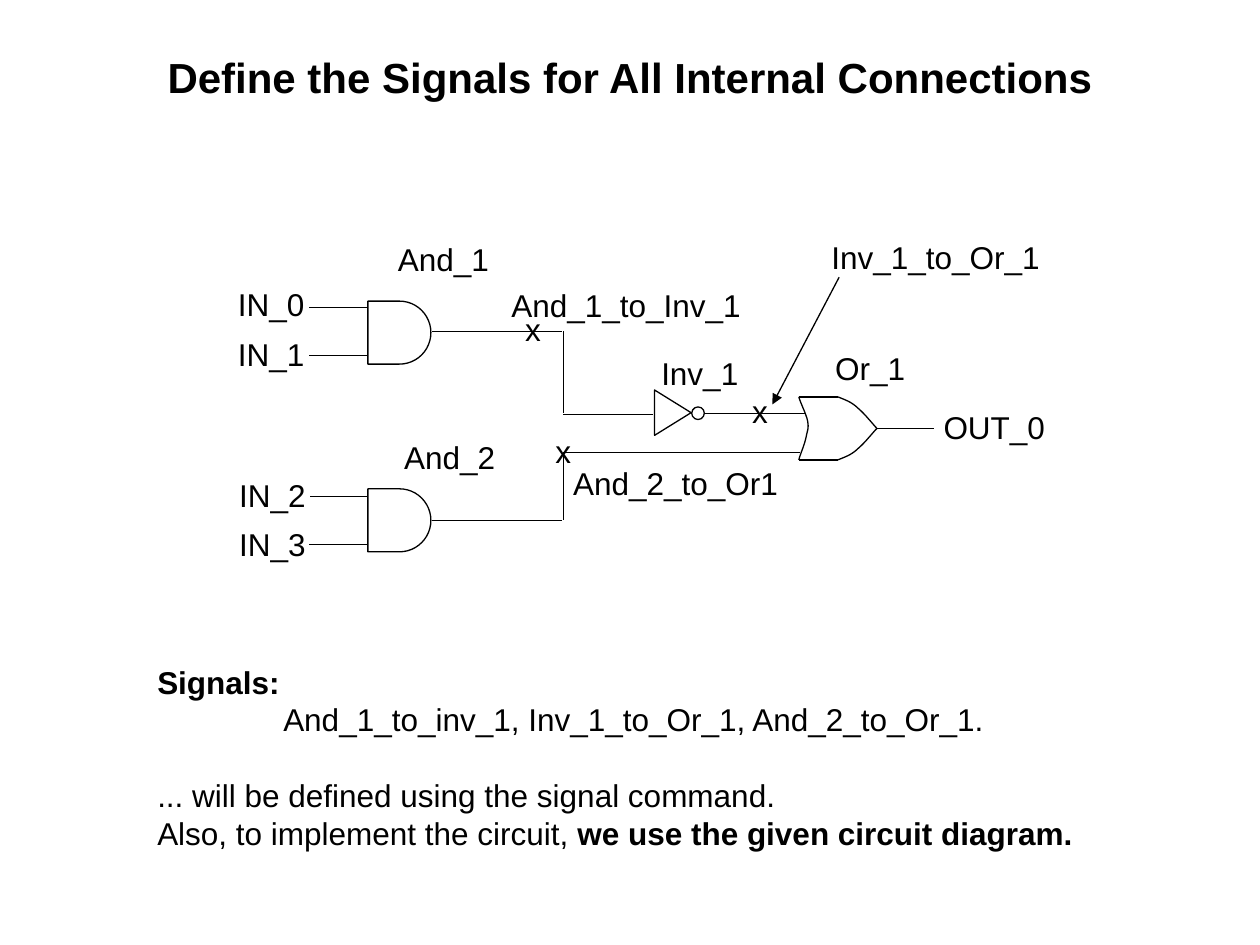
from pptx import Presentation
from pptx.dml.color import RGBColor
from pptx.enum.shapes import MSO_CONNECTOR, MSO_SHAPE
from pptx.enum.text import MSO_ANCHOR, MSO_AUTO_SIZE, PP_ALIGN
from pptx.oxml.ns import qn
from pptx.util import Inches, Pt
from lxml.etree import SubElement

BLACK = RGBColor(0, 0, 0)
WHITE = RGBColor(255, 255, 255)

deck = Presentation()
deck.slide_width, deck.slide_height = Inches(10), Inches(7.5)
slide = deck.slides.add_slide(deck.slide_layouts[6])


def add_text(text, left, top, width, height=0.4, size=18, bold=False, bold_ending="",
             align=PP_ALIGN.LEFT, anchor=MSO_ANCHOR.TOP, wrap=False,
             fit=MSO_AUTO_SIZE.SHAPE_TO_FIT_TEXT):
    box = slide.shapes.add_textbox(Inches(left), Inches(top), Inches(width), Inches(height))
    frame = box.text_frame
    frame.word_wrap = wrap
    frame.auto_size = fit
    frame.vertical_anchor = anchor
    frame.text = text
    if bold_ending:
        frame.paragraphs[-1].add_run().text = bold_ending
    for paragraph in frame.paragraphs:
        paragraph.alignment = align
        for run in paragraph.runs:
            run.font.name = "Arial"
            run.font.size = Pt(size)
            run.font.bold = bold or run.text == bold_ending
            run.font.color.rgb = BLACK
    return frame


def add_wire(x1, y1, x2, y2):
    wire = slide.shapes.add_connector(
        MSO_CONNECTOR.STRAIGHT, Inches(x1), Inches(y1), Inches(x2), Inches(y2))
    wire.line.color.rgb = BLACK
    wire.line.width = Pt(0.75)
    SubElement(wire._element.spPr, qn("a:effectLst"))
    return wire


add_text("Define the Signals for All Internal Connections", 0.5, 0.3, 9, 0.62, size=24,
         bold=True, align=PP_ALIGN.CENTER, anchor=MSO_ANCHOR.MIDDLE, wrap=True,
         fit=MSO_AUTO_SIZE.NONE)

gate_parts = []
or_gate_curves = [
    [((6.34, 3.15), (6.35, 3.19), (6.4, 3.29), (6.41, 3.34)),
     ((6.41, 3.34), (6.42, 3.4), (6.41, 3.41), (6.4, 3.46)),
     ((6.4, 3.46), (6.39, 3.52), (6.35, 3.61), (6.34, 3.65))],
    [((6.65, 3.15), (6.7, 3.17), (6.76, 3.19), (6.81, 3.24)),
     ((6.81, 3.24), (6.86, 3.28), (6.93, 3.37), (6.96, 3.4))],
    [((6.65, 3.65), (6.7, 3.63), (6.76, 3.61), (6.81, 3.56)),
     ((6.81, 3.56), (6.86, 3.52), (6.93, 3.43), (6.96, 3.4))],
]
for curve in or_gate_curves:
    start_x, start_y = curve[0][0]
    outline = slide.shapes.build_freeform(Inches(start_x), Inches(start_y))
    points = []
    for bezier in curve:
        for step in range(1, 9):
            t = step / 8
            weights = ((1 - t) ** 3, 3 * t * (1 - t) ** 2, 3 * t ** 2 * (1 - t), t ** 3)
            points.append([Inches(sum(w * p[axis] for w, p in zip(weights, bezier)))
                           for axis in (0, 1)])
    outline.add_line_segments(points, close=False)
    gate_parts.append(outline.convert_to_shape())

for kind, left, top, width, height, angle in [
    (MSO_SHAPE.FLOWCHART_MERGE, 5.16, 3.13, 0.36, 0.29, 270),
    (MSO_SHAPE.FLOWCHART_DELAY, 2.92, 3.88, 0.5, 0.5, 0),
    (MSO_SHAPE.FLOWCHART_DELAY, 2.92, 2.39, 0.5, 0.5, 0),
    (MSO_SHAPE.OVAL, 5.49, 3.23, 0.1, 0.1, 0),
]:
    part = slide.shapes.add_shape(kind, Inches(left), Inches(top), Inches(width), Inches(height))
    part.rotation = angle
    gate_parts.append(part)

for part in gate_parts:
    part.shadow.inherit = False
    part.fill.background()
    part.line.color.rgb = BLACK
    part.line.width = Pt(0.75)

inverter_bubble = gate_parts[-1]
inverter_bubble.fill.solid()
inverter_bubble.fill.fore_color.rgb = WHITE

for ends in [
    (6.34, 3.65, 6.65, 3.65), (6.34, 3.15, 6.65, 3.15),
    (2.91, 2.44, 2.45, 2.44), (2.91, 2.82, 2.45, 2.82),
    (2.91, 3.94, 2.46, 3.94), (2.91, 4.32, 2.45, 4.32),
    (3.43, 2.63, 4.46, 2.63), (4.47, 2.63, 4.47, 2.93),
    (4.47, 2.8, 4.47, 3.28), (4.47, 3.29, 5.18, 3.29),
    (3.43, 4.13, 4.46, 4.13), (4.47, 3.6, 4.47, 4.13),
    (4.47, 3.59, 6.35, 3.59), (5.59, 3.28, 6.39, 3.28),
    (7.41, 3.4, 6.96, 3.4),
]:
    add_wire(*ends)

pointer = add_wire(6.66, 2.2, 6.13, 3.21)
SubElement(pointer.line._get_or_add_ln(), qn("a:tailEnd"), type="triangle")

for label, left, top, width in [
    ("IN_0", 1.79, 2.21, 0.73), ("IN_1", 1.79, 2.61, 0.73),
    ("IN_2", 1.8, 3.73, 0.73), ("IN_3", 1.8, 4.12, 0.73),
    ("OUT_0", 7.39, 3.19, 1.03),
    ("x", 4.07, 2.41, 0.32), ("x", 4.31, 3.38, 0.32), ("x", 5.87, 3.06, 0.32),
    ("And_1_to_Inv_1", 3.96, 2.22, 2.02),
]:
    add_text(label, left, top, width)

for label, left, top, width in [
    ("And_1", 3.06, 1.86, 1.01), ("And_2", 3.11, 3.43, 0.97),
    ("Or_1", 6.53, 2.72, 0.78), ("Inv_1", 5.15, 2.76, 0.9),
    ("Inv_1_to_Or_1", 6.5, 1.84, 3.13), ("And_2_to_Or1", 4.45, 3.63, 2.94),
]:
    add_text(label, left, top, width, wrap=True)

summary = add_text(
    "Signals:\n"
    "And_1_to_inv_1, Inv_1_to_Or_1, And_2_to_Or_1.\n"
    "... will be defined using the signal command.\n"
    "Also, to implement the circuit, ", 1.15, 5.21, 7.5, 1.6,
    bold_ending="we use the given circuit diagram.")
heading, signal_list, definition, closing = summary.paragraphs
heading.runs[0].font.bold = True
signal_list._p.get_or_add_pPr().set("marL", str(Inches(1)))
definition.space_before = Pt(21.6)

deck.save("out.pptx")
